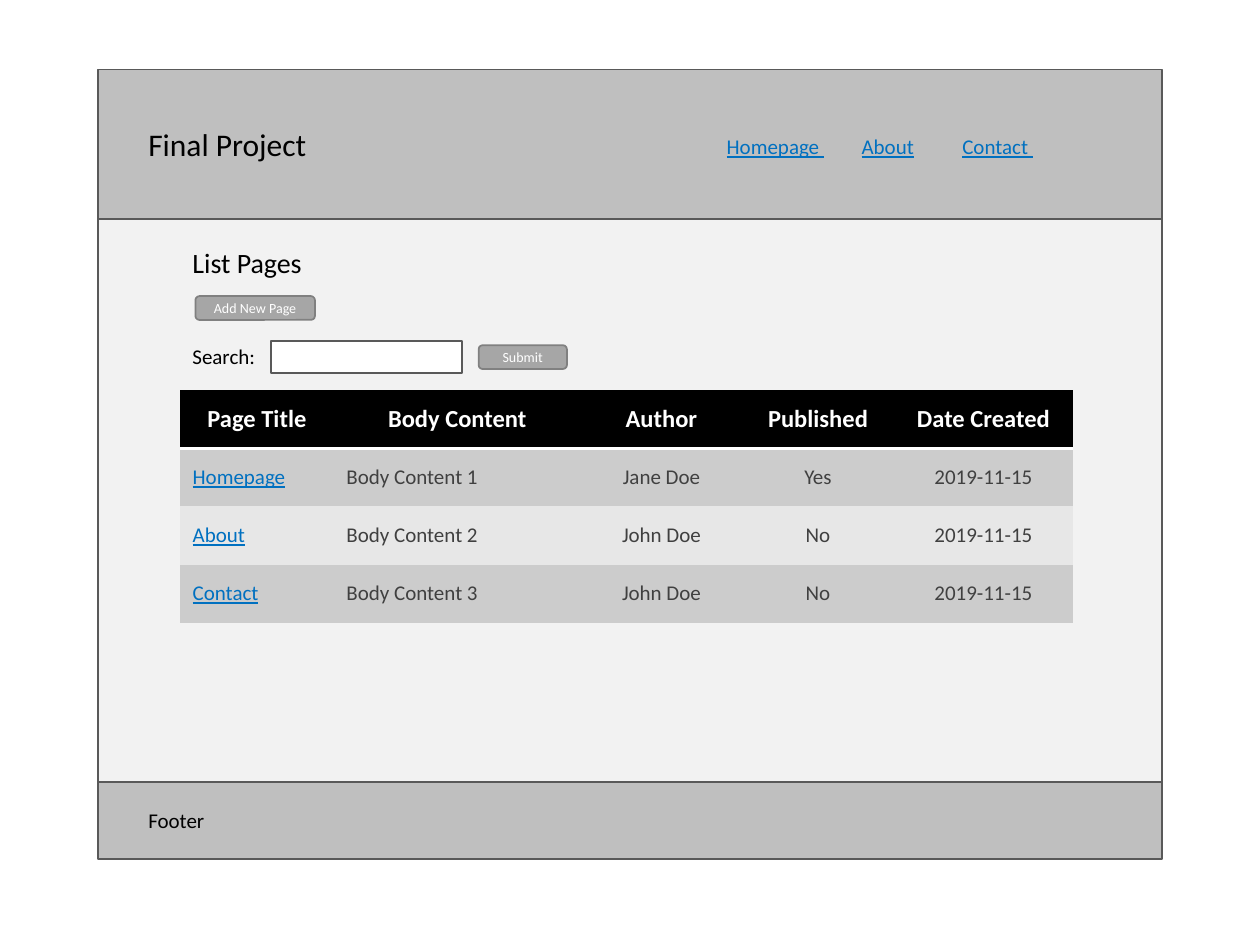
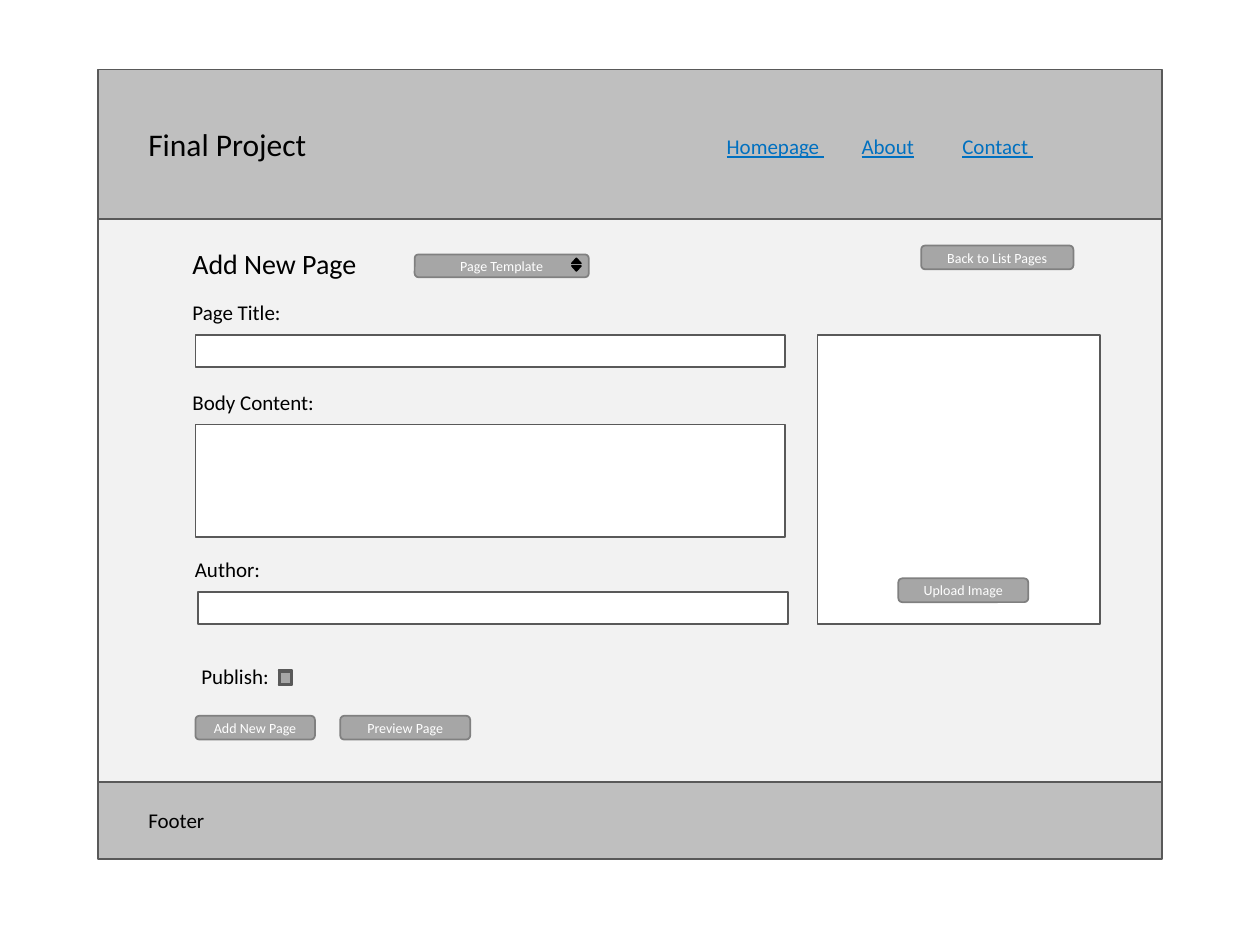
from dataclasses import dataclass

from lxml.etree import SubElement as Sub
from pptx import Presentation as Deck
from pptx.dml.color import RGBColor as Rgb
from pptx.enum.shapes import MSO_SHAPE as Kind
from pptx.enum.text import MSO_ANCHOR as Anchor, MSO_AUTO_SIZE as Fit, PP_ALIGN as Align
from pptx.oxml.ns import qn
from pptx.util import Cm, Pt


@dataclass(frozen=True)
class Theme:
    font: str = "Calibri"
    black: str = "000000"
    white: str = "FFFFFF"
    band: str = "BFBFBF"
    body: str = "F2F2F2"
    edge: str = "595959"
    button: str = "A6A6A6"
    rim: str = "808080"
    link: str = "0070C0"
    ink: str = "404040"
    odd: str = "CCCCCC"
    even: str = "E7E7E7"
    title: int = 18
    head: int = 16
    column: int = 14
    text: int = 12
    small: int = 8


T = Theme()
LEFT = 3.94
INSET = 0.31
RISE = 0.84
BARE = "{2D5ABB26-0587-4C30-8999-92F81FD0307C}"
LINKS = ("Homepage ", "About", "Contact ")
TABS = (2.72, 4.75)
COLS = (3.1, 4.98, 3.25, 3.06, 3.61)
ROWS = (
    ("Page Title", "Body Content", "Author", "Published", "Date Created"),
    ("Homepage", "Body Content 1", "Jane Doe", "Yes", "2019-11-15"),
    ("About", "Body Content 2", "John Doe", "No", "2019-11-15"),
    ("Contact", "Body Content 3", "John Doe", "No", "2019-11-15"),
)


def paint(item, color):
    item.fill.solid()
    item.fill.fore_color.rgb = Rgb.from_string(color)


def style(run, size, color, bold=False, under=False):
    font = run.font
    font.name, font.size = T.font, Pt(size)
    font.color.rgb = Rgb.from_string(color)
    font.bold, font.underline = bold, under


def draw(shapes, kind, x, y, w, h, fill, line=None, width=1):
    shape = shapes.add_shape(kind, Cm(x), Cm(y), Cm(w), Cm(h))
    shape.shadow.inherit = False
    paint(shape, fill)
    if line:
        shape.line.color.rgb = Rgb.from_string(line)
        shape.line.width = Pt(width)
    else:
        shape.line.fill.background()
    return shape


def box(slide, x, y, w, h, fill=T.white):
    draw(slide.shapes, Kind.RECTANGLE, x, y, w, h, fill, T.edge)


def button(slide, text, x, y, w, h=0.48):
    shape = draw(slide.shapes, Kind.ROUNDED_RECTANGLE, x, y, w, h, T.button, T.rim)
    frame = shape.text_frame
    frame.text = text
    frame.vertical_anchor = Anchor.MIDDLE
    para = frame.paragraphs[0]
    para.alignment = Align.CENTER
    style(para.runs[0], T.small, T.white)


def label(slide, text, x, y, w=5.44, h=0.76, size=T.text):
    frame = slide.shapes.add_textbox(Cm(x), Cm(y), Cm(w), Cm(h)).text_frame
    frame.word_wrap = True
    frame.auto_size = Fit.SHAPE_TO_FIT_TEXT
    frame.text = text
    para = frame.paragraphs[0]
    for run in para.runs:
        style(run, size, T.black)
    return para


def field(slide, text, x, y, h=0.64):
    box(slide, x, y, 11.89, h)
    label(slide, text, x - INSET, y - RISE)


def menu(slide):
    para = label(slide, "", 14.4, 2.57, 7.24, 1.27)
    stops = Sub(para._p.get_or_add_pPr(), qn("a:tabLst"))
    for stop in TABS:
        Sub(stops, qn("a:tab"), pos=str(Cm(stop)), algn="l")
    for i, text in enumerate(LINKS):
        if i:
            gap = para.add_run()
            gap.text = "\t"
            style(gap, T.text, T.link)
        run = para.add_run()
        run.text = text
        style(run, T.text, T.link, under=True)


def page(deck, head, y):
    slide = deck.slides.add_slide(deck.slide_layouts[6])
    bands = ((1.4, 3.02, T.band), (4.42, 11.34, T.body), (15.77, 1.55, T.band))
    for top, high, fill in bands:
        box(slide, 1.98, top, 21.44, high, fill)
    label(slide, "Final Project", 2.74, 2.39, h=1.04, size=T.title)
    menu(slide)
    label(slide, "Footer", 2.74, 16.15)
    label(slide, head, LEFT - INSET, y, 6.96, 0.94, T.head)
    return slide


def rule(cell):
    line = Sub(cell._tc.get_or_add_tcPr(), qn("a:lnB"), w=str(Pt(2)))
    Sub(Sub(line, qn("a:solidFill")), qn("a:srgbClr"), val=T.white)


def grid(slide, x, y, high):
    table = slide.shapes.add_table(
        len(ROWS), len(COLS), Cm(x), Cm(y), Cm(sum(COLS)), Cm(high * len(ROWS))
    ).table
    table._tbl.tblPr.find(qn("a:tableStyleId")).text = BARE
    for col, wide in zip(table.columns, COLS):
        col.width = Cm(wide)
    for r, row in enumerate(ROWS):
        for c, text in enumerate(row):
            cell = table.cell(r, c)
            cell.text = text
            cell.vertical_anchor = Anchor.MIDDLE
            para = cell.text_frame.paragraphs[0]
            para.alignment = Align.CENTER if r == 0 or c > 1 else Align.LEFT
            run = para.runs[0]
            if r == 0:
                rule(cell)
                paint(cell, T.black)
                style(run, T.column, T.white, bold=True)
            else:
                paint(cell, T.odd if r % 2 else T.even)
                style(run, T.text, T.ink if c else T.link, under=c == 0)


def arrows(slide, x, y):
    group = slide.shapes.add_group_shape()
    for top, turn in ((y, 0), (y + 0.15, 180)):
        mark = draw(group.shapes, Kind.ISOSCELES_TRIANGLE, x, top, 0.18, 0.1,
                    T.black, T.black)
        mark.rotation = turn


def listing(deck):
    slide = page(deck, "List Pages", 4.83)
    grid(slide, 3.63, 7.87, 1.17)
    box(slide, 5.46, 6.88, 3.86, 0.64)
    label(slide, "Search:", LEFT - INSET, 6.81)
    button(slide, "Submit", 9.65, 6.96, 1.78)
    button(slide, "Add New Page", LEFT, 5.97, 2.41)


def editor(deck):
    slide = page(deck, "Add New Page", 4.85)
    field(slide, "Page Title:", LEFT, 6.76)
    field(slide, "Body Content:", LEFT, 8.56, 2.26)
    field(slide, "Author:", 3.99, 11.94)
    label(slide, "Publish:", 3.81, 13.26)
    draw(slide.shapes, Kind.BEVEL, 5.61, 13.51, 0.28, 0.3, T.button, T.edge, 0.75)
    box(slide, 16.48, 6.76, 5.69, 5.82)
    button(slide, "Back to List Pages", 18.57, 4.95, 3.07)
    button(slide, "Add New Page", LEFT, 14.43, 2.41)
    button(slide, "Preview Page", 6.86, 14.43, 2.62)
    button(slide, "Upload Image", 18.11, 11.66, 2.62)
    button(slide, "Page Template", 8.36, 5.13, 3.51, 0.46)
    arrows(slide, 11.53, 5.21)


def main():
    deck = Deck()
    deck.slide_width, deck.slide_height = Cm(25.4), Cm(19.05)
    listing(deck)
    editor(deck)
    deck.save("out.pptx")


main()
